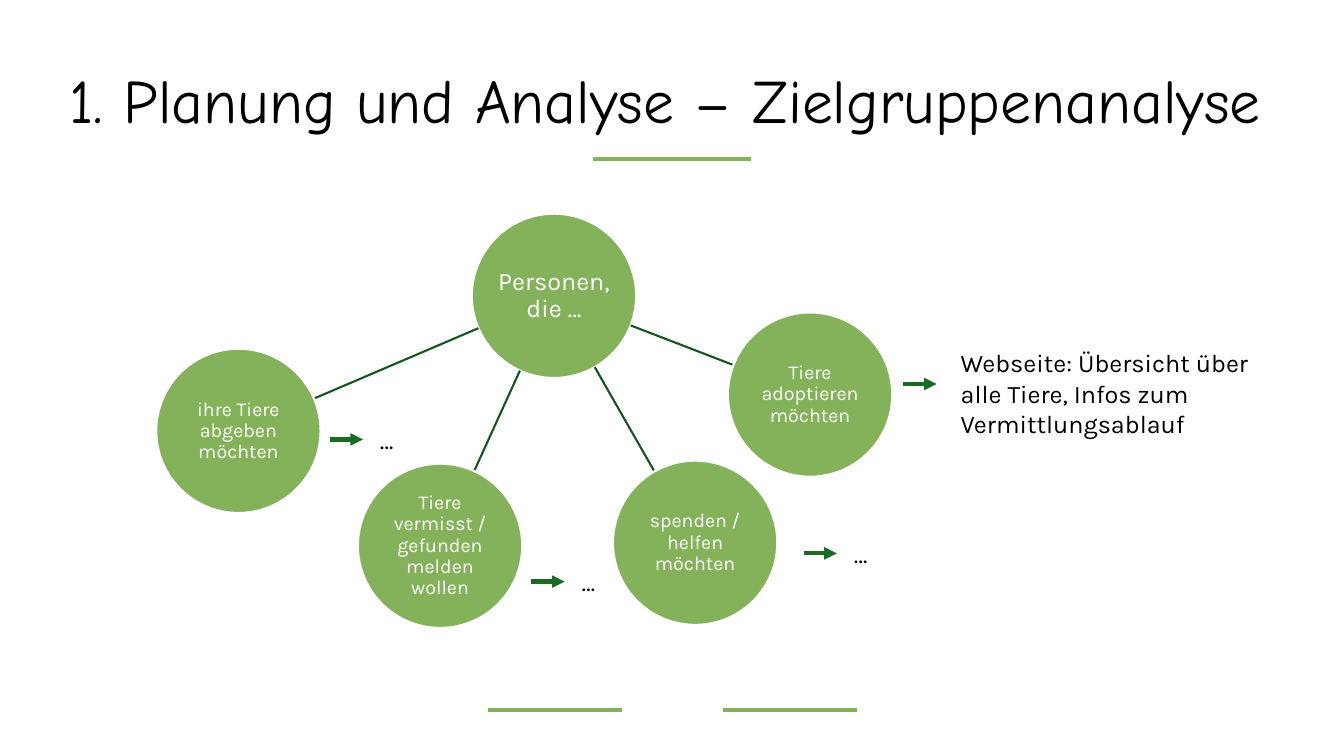
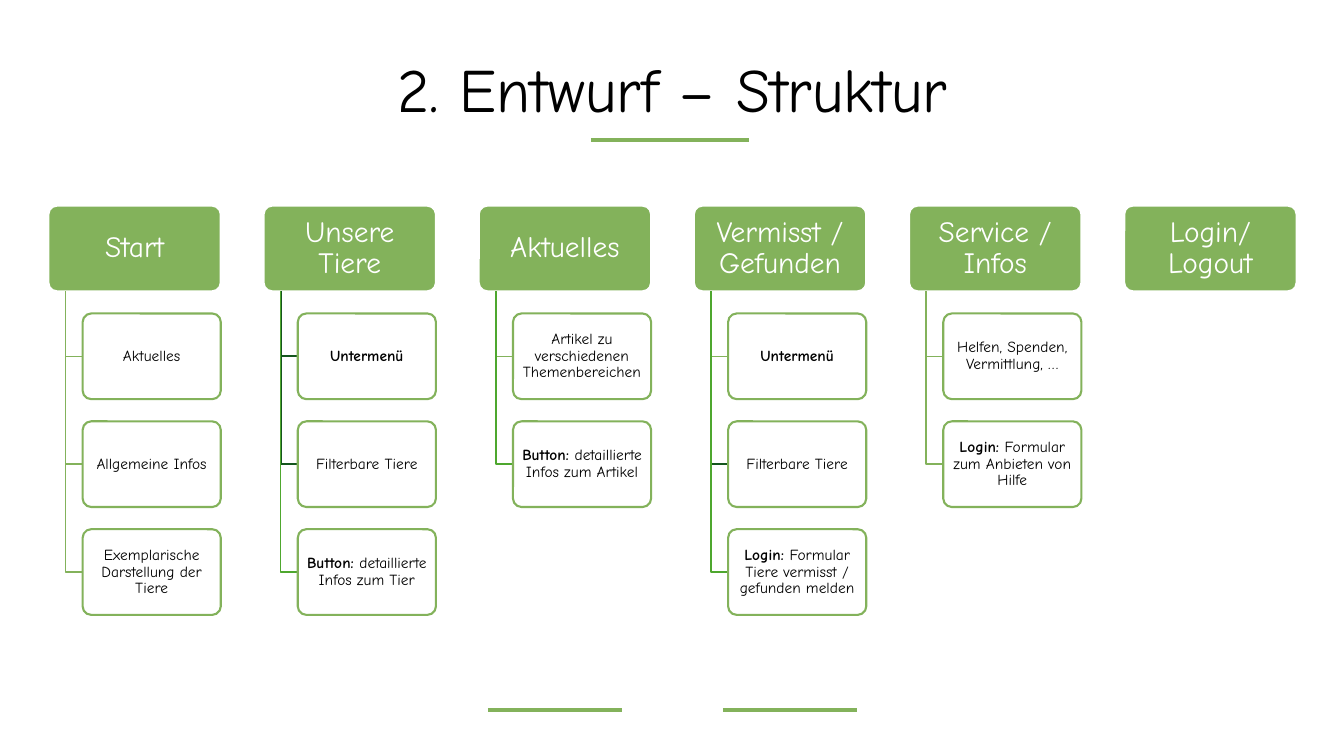
import math

import lxml.etree
import pptx
import pptx.dml.color
import pptx.enum.shapes
import pptx.enum.text
import pptx.oxml.ns
import pptx.util

Inches = pptx.util.Inches
Shape = pptx.enum.shapes.MSO_SHAPE
Align = pptx.enum.text.PP_ALIGN
Anchor = pptx.enum.text.MSO_ANCHOR

GREEN, LEAF, FOREST, ARROW = "83B25B", "4EA72E", "14561D", "196B24"
WHITE, BLACK = "FFFFFF", "000000"
HAND, SANS = "Comic Neue", "Karla"


def color(value):
    return pptx.dml.color.RGBColor.from_string(value)


def set_all(target, values):
    for name, value in values.items():
        setattr(target, name, value)


class Slides:
    """Holds the shared style and the slide being built."""

    def __init__(self):
        self.deck = pptx.Presentation()
        set_all(self.deck, {"slide_width": Inches(13.33), "slide_height": Inches(7.5)})
        self.page = None

    def start(self, title, left, top, rule):
        """Add a slide with its title, the rule below it and the footer rules."""
        self.page = self.deck.slides.add_slide(self.deck.slide_layouts[6])
        self.text([title], (left, top, 12.78, 1.48), HAND, 44,
                  align=Align.CENTER, anchor=Anchor.MIDDLE, spacing=0.9)
        for x, y, width in ((*rule, 1.57), (4.84, 7.04, 1.33), (7.17, 7.04, 1.33)):
            self.line((x, y), (x + width, y), GREEN, 3)

    def stroke(self, shape, line_color, width):
        shape.line.color.rgb = color(line_color)
        shape.line.width = pptx.util.Pt(width)

    def set_text(self, shape, pieces, font, size, text_color=BLACK, align=Align.LEFT,
                 anchor=Anchor.TOP, spacing=1.0, inset=(0.1, 0.05)):
        """Fill a shape with one paragraph; all pieces but the last are bold."""
        across, down = (Inches(value) for value in inset)
        frame = shape.text_frame
        set_all(frame, {"word_wrap": True, "vertical_anchor": anchor,
                        "margin_left": across, "margin_right": across,
                        "margin_top": down, "margin_bottom": down})
        para = frame.paragraphs[0]
        set_all(para, {"alignment": align, "line_spacing": spacing})
        for number, piece in enumerate(pieces, 1):
            if not piece:
                continue
            span = para.add_run()
            span.text = piece
            set_all(span.font, {"name": font, "size": pptx.util.Pt(size),
                                "bold": number < len(pieces)})
            span.font.color.rgb = color(text_color)

    def text(self, pieces, area, font, size, **options):
        box = self.page.shapes.add_textbox(*map(Inches, area))
        self.set_text(box, pieces, font, size, **options)

    def node(self, kind, area, pieces, font, size, fill=GREEN, outline=WHITE,
             text_color=WHITE, inset=(0.01, 0.01)):
        """Add a filled shape with centred text."""
        shape = self.page.shapes.add_shape(kind, *map(Inches, area))
        shape.shadow.inherit = False
        if kind == Shape.ROUNDED_RECTANGLE:
            shape.adjustments[0] = 0.1
        shape.fill.solid()
        shape.fill.fore_color.rgb = color(fill)
        self.stroke(shape, outline, 1.5)
        self.set_text(shape, pieces, font, size, text_color, Align.CENTER,
                      Anchor.MIDDLE, 0.9, inset)

    def line(self, start, end, line_color, width, arrow=False):
        connector = self.page.shapes.add_connector(
            pptx.enum.shapes.MSO_CONNECTOR.STRAIGHT, *map(Inches, (*start, *end)))
        self.stroke(connector, line_color, width)
        tag = pptx.oxml.ns.qn
        properties = connector._element.spPr
        if arrow:
            lxml.etree.SubElement(properties.find(tag("a:ln")), tag("a:tailEnd"),
                                  type="triangle")
        lxml.etree.SubElement(properties, tag("a:effectLst"))

    def elbow(self, points, line_color, width):
        first, *rest = [tuple(map(Inches, point)) for point in points]
        builder = self.page.shapes.build_freeform(*first)
        builder.add_line_segments(rest, close=False)
        shape = builder.convert_to_shape()
        shape.shadow.inherit = False
        shape.fill.background()
        self.stroke(shape, line_color, width)


def add_audience(slides):
    slides.start("1. Planung und Analyse – Zielgruppenanalyse", 0.21, 0.29, (5.88, 1.58))
    size = 1.63
    radius = size / 2
    hub = (4.68, 2.12)
    groups = [
        (7.22, 3.1, "Tiere adoptieren möchten"),
        (1.55, 3.46, "ihre Tiere abgeben möchten"),
        (6.08, 4.57, "spenden / helfen möchten"),
        (3.55, 4.6, "Tiere vermisst / gefunden melden wollen"),
    ]
    slides.node(Shape.OVAL, (*hub, size, size), ["Personen, die …"], SANS, 18)
    for left, top, label in groups:
        angle = math.atan2(top - hub[1], left - hub[0])
        reach = (radius * math.cos(angle), radius * math.sin(angle))
        start = [corner + radius + step for corner, step in zip(hub, reach)]
        end = [corner + radius - step for corner, step in zip((left, top), reach)]
        slides.line(start, end, FOREST, 1.5)
        slides.node(Shape.OVAL, (left, top, size, size), [label], SANS, 14)

    notes = [
        (8.96, 3.81, (9.43, 3.4, 3.46, 1.01),
         "Webseite: Übersicht über alle Tiere, Infos zum Vermittlungsablauf"),
        *((x, y, (x + 0.4, y - 0.2, 0.6, 0.4), "…")
          for x, y in ((7.97, 5.49), (5.27, 5.77), (3.27, 4.36))),
    ]
    for x, y, area, note in notes:
        slides.line((x, y), (x + 0.33, y), ARROW, 3, arrow=True)
        slides.text([note], area, SANS, 18)


def add_structure(slides):
    slides.start("2. Entwurf – Struktur", 0.28, 0.18, (5.86, 1.39))
    thin, light, dark = (GREEN, 1), (LEAF, 1), (FOREST, 1.5)
    submenu = ["Untermenü", ""]
    menus = [
        ("Start", [(["Aktuelles"], thin), (["Allgemeine Infos"], thin),
                   (["Exemplarische Darstellung der Tiere"], thin)]),
        ("Unsere Tiere", [(submenu, dark), (["Filterbare Tiere"], dark),
                          (["Button: ", "detaillierte Infos zum Tier"], light)]),
        ("Aktuelles", [(["Artikel zu verschiedenen Themenbereichen"], thin),
                       (["Button: ", "detaillierte Infos zum Artikel"], light)]),
        ("Vermisst / Gefunden", [
            (submenu, thin), (["Filterbare Tiere"], dark),
            (["Login: ", "Formular Tiere vermisst / gefunden melden"], light)]),
        ("Service / Infos", [(["Helfen, Spenden, Vermittlung, …"], thin),
                             (["Login: ", "Formular zum Anbieten von Hilfe"], thin)]),
        ("Login/ Logout", []),
    ]
    first, last, top = 0.48, 11.15, 2.04
    width, height, indent, row_step = 1.71, 0.85, 0.17, 1.07
    column_step = (last - first) / (len(menus) - 1)
    for column, (heading, entries) in enumerate(menus):
        left = first + column * column_step
        trunk, branch = left + indent, left + 2 * indent
        slides.node(Shape.ROUNDED_RECTANGLE, (left, top, width, height),
                    [heading], HAND, 21, inset=(0.04, 0.03))
        for row, (pieces, stroke) in enumerate(entries, 1):
            entry_top = top + row * row_step
            middle = entry_top + height / 2
            slides.elbow([(trunk, top + height), (trunk, middle), (branch, middle)], *stroke)
            slides.node(Shape.ROUNDED_RECTANGLE, (branch, entry_top, 1.37, height),
                        pieces, HAND, 11, WHITE, GREEN, BLACK, (0.02, 0.02))


def main():
    slides = Slides()
    add_audience(slides)
    add_structure(slides)
    slides.deck.save("out.pptx")


if __name__ == "__main__":
    main()
